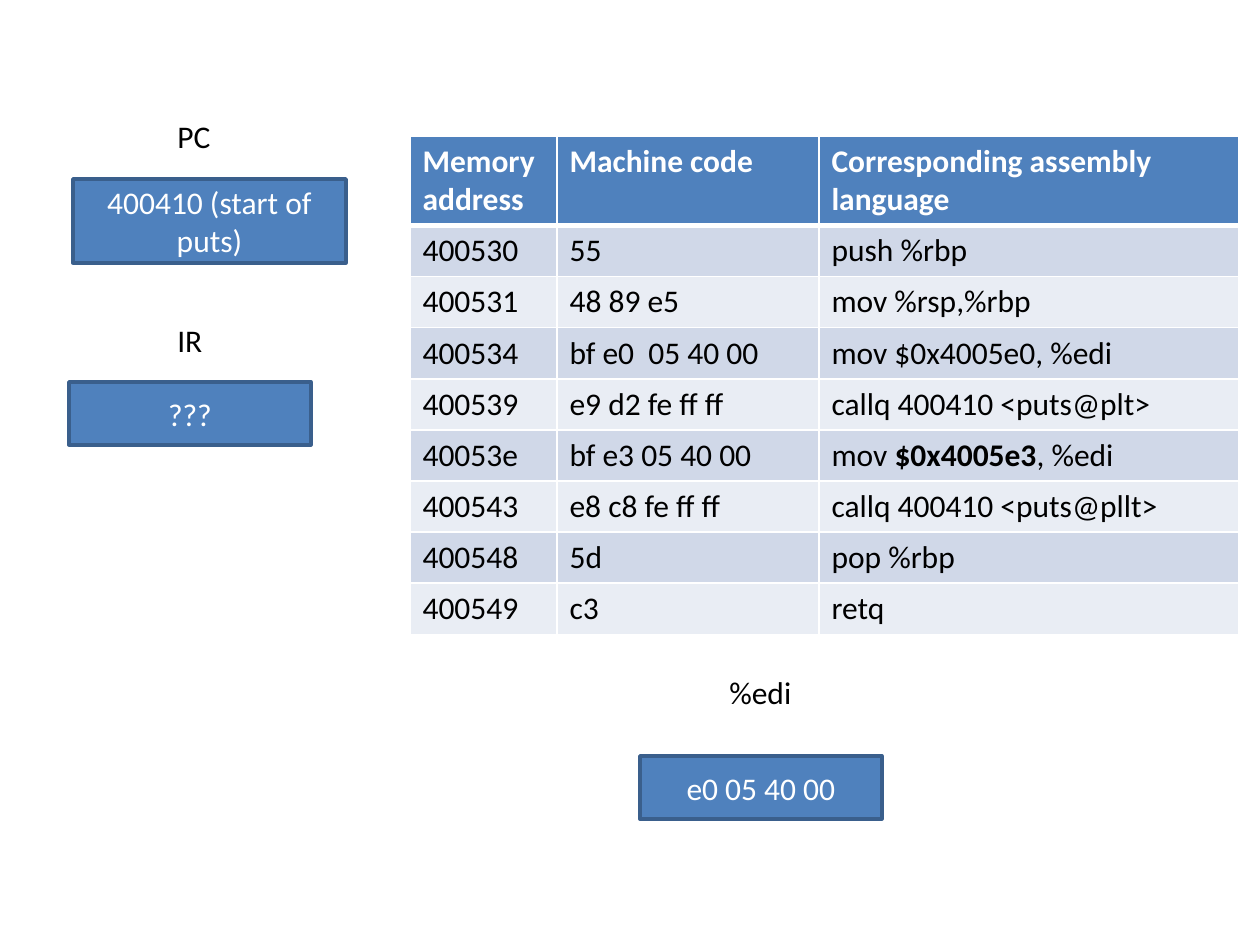
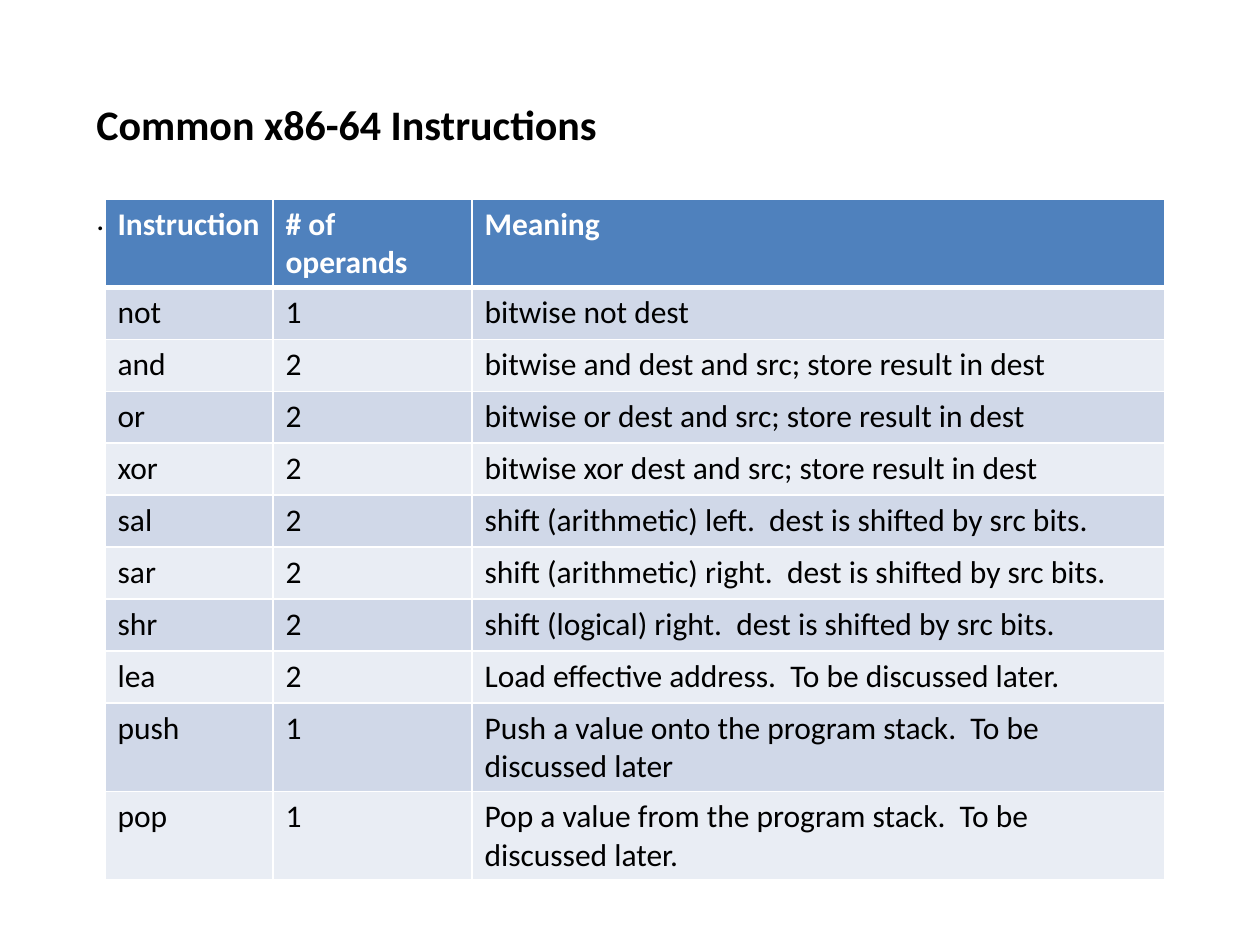
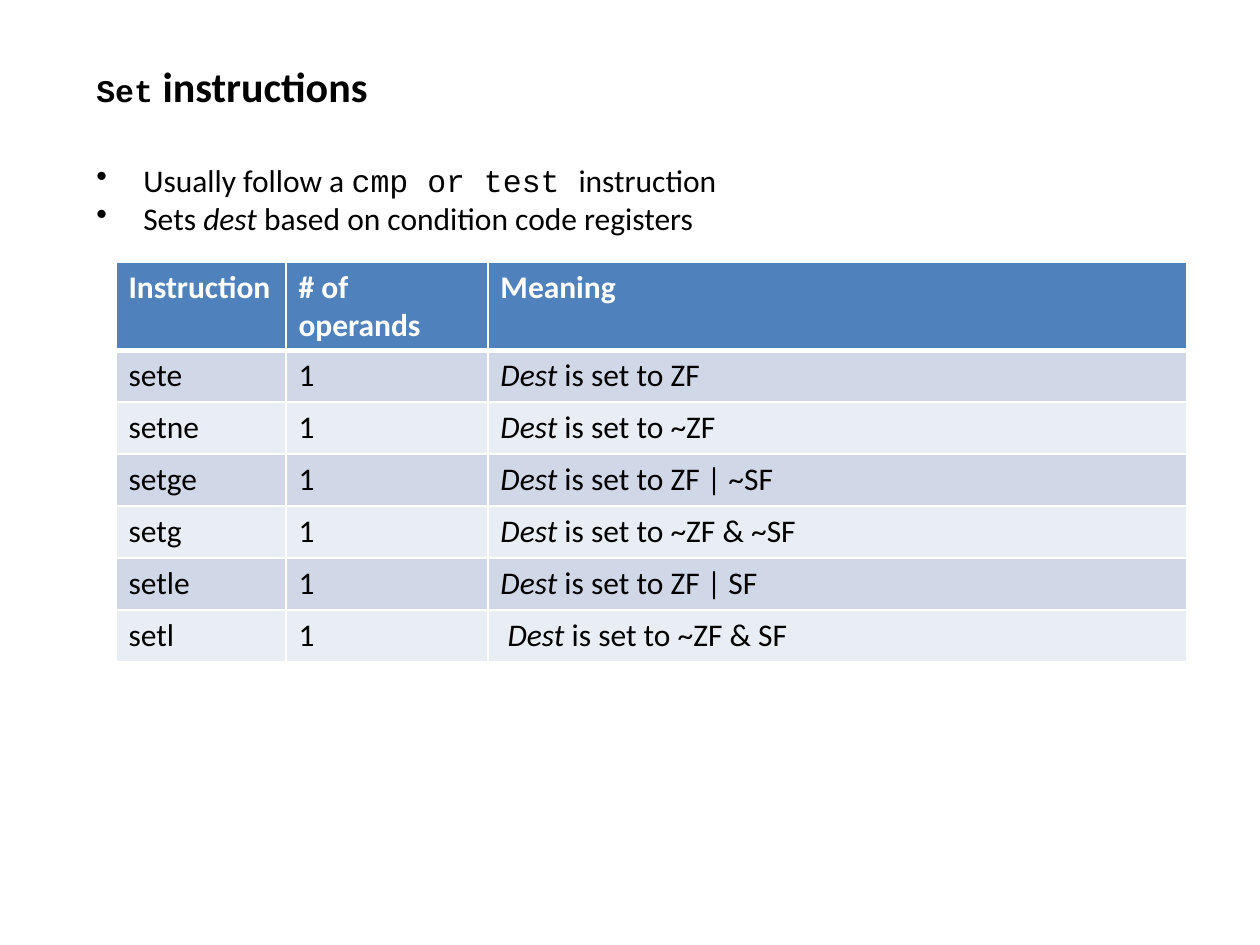
"""Build three slides on machine code and x86-64 instructions."""
from pptx import Presentation
from pptx import util as u
from pptx.dml.color import RGBColor
from pptx.enum import shapes, text
from pptx.oxml import parse_xml
from pptx.oxml.ns import nsdecls

PX = 914400 // 126
color = RGBColor.from_string
BLUE, EDGE, WHITE, BLACK = "4F81BD", "3A5F8C", "FFFFFF", "000000"
BANDS = ["D0D8E8", "E9EDF4"]
HEADING = {"size": u.Pt(24), "bold": True}
MONO = {"name": "Courier New"}
STRONG = {"bold": True}
ITALIC = {"italic": True}


def write(frame, paragraphs, ink, bold=False):
    for index, runs in enumerate(paragraphs):
        line = frame.add_paragraph() if index else frame.paragraphs[0]
        for part in runs:
            words, style = (part, {}) if isinstance(part, str) else part
            run = line.add_run()
            run.text = words
            run.font.color.rgb = color(ink)
            base = {"name": "Calibri", "size": u.Pt(18), "bold": bold}
            for key, value in (base | style).items():
                setattr(run.font, key, value)


def draw_table(slide, left, top, widths, row_height, rows):
    heights = [88] + [row_height] * (len(rows) - 1)
    table = slide.shapes.add_table(
        len(rows), len(widths), left * PX, top * PX,
        sum(widths) * PX, sum(heights) * PX).table
    for column, width in zip(table.columns, widths):
        column.width = width * PX
    for r, values in enumerate(rows):
        table.rows[r].height = heights[r] * PX
        for c, value in enumerate(values):
            cell = table.cell(r, c)
            for side in "LRTB":
                heavy = (r, side) in [(0, "B"), (1, "T")]
                cell._tc.get_or_add_tcPr().append(parse_xml(
                    f'<a:ln{side} {nsdecls("a")} w="{u.Pt(3 if heavy else 1)}">'
                    f'<a:solidFill><a:srgbClr val="{WHITE}"/></a:solidFill></a:ln{side}>'))
            cell.fill.solid()
            cell.fill.fore_color.rgb = color(BANDS[(r - 1) % 2] if r else BLUE)
            lines = [[s] for s in value.split("\n")] if isinstance(value, str) else [value]
            write(cell.text_frame, lines, BLACK if r else WHITE, bold=r == 0)


deck = Presentation()
deck.slide_width, deck.slide_height = u.Inches(10), u.Inches(7.5)
blank = deck.slide_layouts[6]

memory = deck.slides.add_slide(blank)
draw_table(memory, 410, 136, [147, 262, 420], 51, [
    ["Memory address", "Machine code", "Corresponding assembly\nlanguage"],
    ["400530", "55", "push %rbp"],
    ["400531", "48 89 e5", "mov %rsp,%rbp"],
    ["400534", "bf e0  05 40 00", "mov $0x4005e0, %edi"],
    ["400539", "e9 d2 fe ff ff", "callq 400410 <puts@plt>"],
    ["40053e", "bf e3 05 40 00", ["mov ", ("$0x4005e3", STRONG), ", %edi"]],
    ["400543", "e8 c8 fe ff ff", "callq 400410 <puts@pllt>"],
    ["400548", "5d", "pop %rbp"],
    ["400549", "c3", "retq"],
])

registers = [
    ("PC", (165, 111, 59, 50), "400410 (start of puts)", (73, 179, 273, 84)),
    ("IR", (165, 315, 50, 50), "???", (69, 382, 242, 63)),
    ("%edi", (717, 667, 88, 50), "e0 05 40 00", (640, 756, 242, 63)),
]
for register, label_at, content, box_at in registers:
    box = memory.shapes.add_shape(
        shapes.MSO_SHAPE.RECTANGLE, *[n * PX for n in box_at])
    box.shadow.inherit = False
    box.fill.solid()
    box.fill.fore_color.rgb = color(BLUE)
    box.line.color.rgb = color(EDGE)
    box.line.width = u.Pt(2)
    box.text_frame.word_wrap = True
    box.text_frame.vertical_anchor = text.MSO_ANCHOR.MIDDLE
    write(box.text_frame, [[content]], WHITE)
    box.text_frame.paragraphs[0].alignment = text.PP_ALIGN.CENTER
    label = memory.shapes.add_textbox(*[n * PX for n in label_at]).text_frame
    label.word_wrap = False
    label.auto_size = text.MSO_AUTO_SIZE.SHAPE_TO_FIT_TEXT
    write(label, [[register]], BLACK)

columns = ["Instruction", "# of operands", "Meaning"]
common = [
    ["not", "1", "bitwise not dest"],
    *[[name, "2", f"bitwise {name} dest and src; store result in dest"]
      for name in ["and", "or", "xor"]],
    *[[name, "2", f"shift ({kind}.  dest is shifted by src bits."]
      for name, kind in [("sal", "arithmetic) left"), ("sar", "arithmetic) right"),
                         ("shr", "logical) right")]],
    ["lea", "2", "Load effective address.  To be discussed later."],
    ["push", "1", "Push a value onto the program stack.  To be discussed later"],
    ["pop", "1", "Pop a value from the program stack.  To be discussed later."],
]
setters = [
    [name, "1", [("Dest", ITALIC), f" is set to {flags}"]]
    for name, flags in [("sete", "ZF"), ("setne", "~ZF"), ("setge", "ZF | ~SF"),
                        ("setg", "~ZF & ~SF"), ("setle", "ZF | SF"),
                        ("setl", "~ZF & SF")]
]
setters[-1][2].insert(0, " ")

topics = [
    (92, 152, [("Common x86-64 Instructions", HEADING)], [["."]], False,
     (105, 199, [168, 199, 693]), common),
    (54, 229, [("Set", MONO | STRONG), (" instructions", HEADING)],
     [["Usually follow a ", ("cmp or test ", MONO), "instruction"],
      ["Sets ", ("dest", ITALIC), " based on condition code registers"]], True,
     (116, 262, [170, 202, 699]), setters),
]
for top, height, heading, points, bulleted, table_at, rows in topics:
    slide = deck.slides.add_slide(blank)
    intro = slide.shapes.add_textbox(84 * PX, top * PX, 1061 * PX, height * PX).text_frame
    intro.word_wrap = True
    write(intro, [heading, *points], BLACK)
    intro.paragraphs[1].space_before = u.Pt(29)
    for point in intro.paragraphs[1:] if bulleted else []:
        properties = point._p.get_or_add_pPr()
        properties.set("marL", str(47 * PX))
        properties.set("indent", str(-47 * PX))
        properties.append(parse_xml(f'<a:buChar {nsdecls("a")} char="•"/>'))
    draw_table(slide, *table_at, 52, [columns, *rows])

deck.save("out.pptx")
